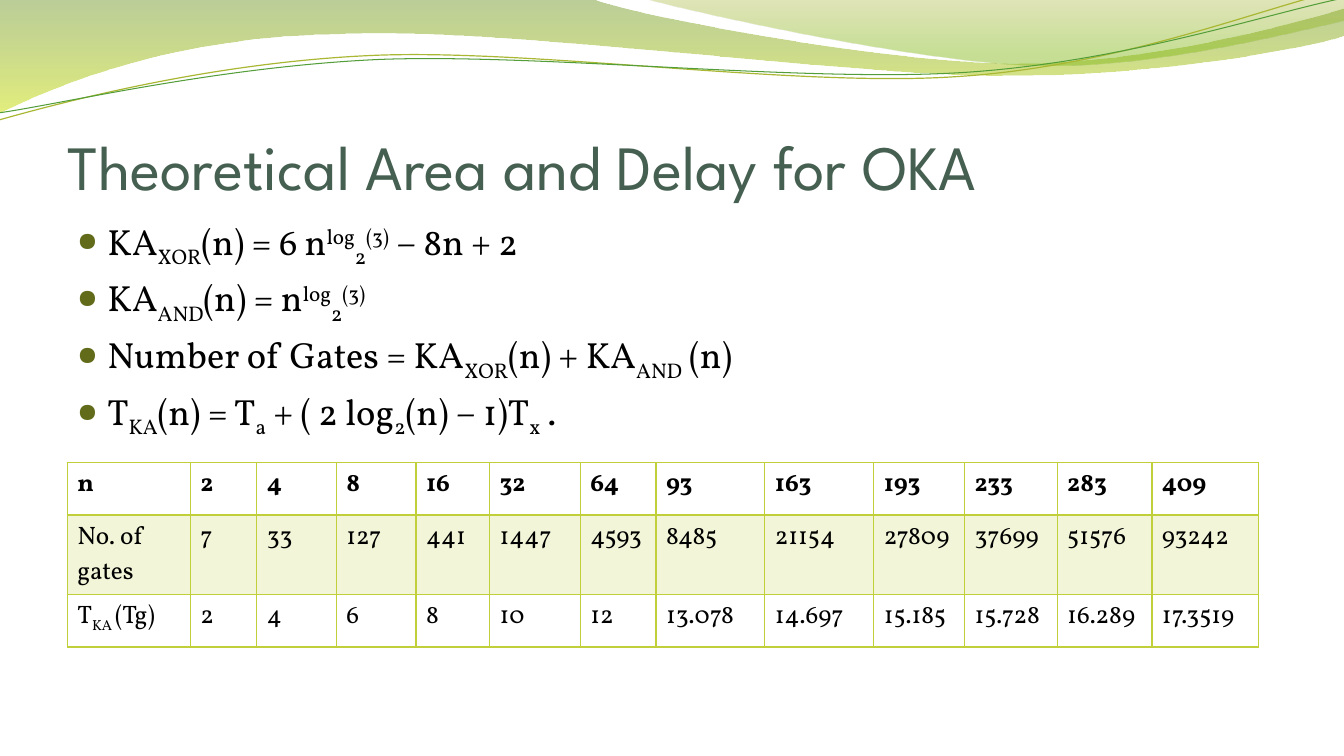
from pptx import Presentation
from pptx.dml.color import RGBColor as RGB
from pptx.enum.text import MSO_ANCHOR as Anchor, MSO_AUTO_SIZE as Fit, PP_ALIGN as Align
from pptx.oxml.ns import qn
from pptx.util import Inches, Pt
from lxml.etree import SubElement as Sub

# Content: "|" parts runs, "_" lowers one and "^" lifts one
TITLE = "Theoretical Area and Delay for OKA"
RULES = [
    "KA|_XOR|(n) = 6 n|^log|_2|^(3)| − 8n + 2",
    "KA|_AND|(n) = n|^log|_2|^(3)",
    "Number of Gates = KA|_XOR|(n) + KA|_AND| (n)",
    "T|_KA|(n) = T|_a| + ( 2 log|_2|(n) − 1)T|_x| .",
]
ROWS = [
    ["n", "2", "4", "8", "16", "32", "64", "93", "163", "193", "233", "283", "409"],
    ["No. of gates", "7", "33", "127", "441", "1447", "4593", "8485", "21154",
     "27809", "37699", "51576", "93242"],
    ["T|_KA |(Tg)", "2", "4", "6", "8", "10", "12", "13.078", "14.697",
     "15.185", "15.728", "16.289", "17.3519"],
]
COLS = [1.22, 0.66, 0.79, 0.79, 0.73, 0.9, 0.75, 1.08, 1.08, 0.9, 0.92, 0.94, 1.06]
TALL = [0.52, 0.79, 0.52]
LIME = "C0CF3A"
HEAD, BODY = "League Spartan", "Vollkorn"
WIDE, HIGH = 13.33, 7.5
LEFT, SPAN = WIDE * 0.05, WIDE * 0.9

# Waves: a pair is a line's end, six numbers are a curve's two handles and end
BANDS = [
    ([(0, 0), (5.87, -0.01), (6.34, 0.17, 8.84, 0.63, 10.11, 0.63),
      (11.37, 0.63, 12.77, 0.26, 13.33, 0.09), (13.34, 0.36),
      (13.11, 0.44, 11.59, 0.76, 9.94, 0.75), (8.29, 0.75, 5.09, 0.28, 3.43, 0.34),
      (1.72, 0.36, 0.61, 0.83, -0.02, 1.13)],
     [(0, "69921C", 45), (1, "CCE10F", 55)]),
    ([(6.38, -0.01), (6.79, 0.11, 9.09, 0.62, 10.25, 0.65),
      (11.4, 0.69, 12.82, 0.32, 13.33, 0.21), (13.33, 0)],
     [(0, "9BAA1A", 30), (0.8, "81BA16", 45)]),
]
LINES = [
    ([(-0.01, 1.19), (0.63, 1.01, 2.1, 0.62, 3.69, 0.55),
      (5.27, 0.48, 7.89, 0.87, 9.49, 0.76), (11.1, 0.66, 12.51, 0.08, 13.3, -0.1)],
     "A9B733", 0.85),
    ([(-0.01, 1.12), (0.62, 1.03, 2.18, 0.66, 3.77, 0.59),
      (5.37, 0.53, 7.96, 0.82, 9.55, 0.72), (11.14, 0.62, 12.55, 0.14, 13.33, -0.02)],
     "549E39", 0.75),
]


def hue(code):
    return RGB.from_string(code)


def fade(node, shares):
    """Give each colour under node its opacity in percent."""
    for tint, share in zip(node.iter(qn("a:srgbClr")), shares):
        Sub(tint, qn("a:alpha"), val=str(share * 1000))


def wave(slide, steps, close):
    """Draw through the ends of the steps, then bend the curved ones."""
    ends = [(Inches(s[-2]), Inches(s[-1])) for s in steps]
    pen = slide.shapes.build_freeform(*ends[0], scale=1.0)
    pen.add_line_segments(ends[1:], close=close)
    shape = pen.convert_to_shape()
    shape.shadow.inherit = False
    sides = list(shape._element.iter(qn("a:lnTo")))
    for side, step in zip(sides, steps[1:]):
        if len(step) == 6:
            end = side[0]
            side.tag = qn("a:cubicBezTo")
            for x, y in (step[:2], step[2:4]):
                Sub(side, qn("a:pt"), x=str(Inches(x) - shape.left),
                    y=str(Inches(y) - shape.top))
            side.append(end)
    return shape


def write(para, text, size, face, color="000000", bold=False):
    for part in text.split("|"):
        shift = {"_": "-25000", "^": "30000"}.get(part[0])
        run = para.add_run()
        run.text = part[1:] if shift else part
        for key, val in dict(size=Pt(size), name=face, bold=bold).items():
            setattr(run.font, key, val)
        run.font.color.rgb = hue(color)
        if shift:
            run.font._element.set("baseline", shift)


def bullet(para):
    props = para._p.get_or_add_pPr()
    props.set("marL", str(Inches(0.3)))
    props.set("indent", str(-Inches(0.3)))
    Sub(Sub(props, qn("a:buClr")), qn("a:srgbClr"), val="626B1A")
    Sub(props, qn("a:buSzPct"), val="72000")
    Sub(props, qn("a:buChar"), char="●")


def edge(cell, side, width):
    line = Sub(cell._tc.get_or_add_tcPr(), qn("a:ln" + side), w=str(Pt(width)))
    Sub(Sub(line, qn("a:solidFill")), qn("a:srgbClr"), val=LIME)


def place(shape, *box):
    for key, val in zip(("left", "top", "width", "height"), box):
        setattr(shape, key, Inches(val))


def add_waves(slide):
    for steps, stops in BANDS:
        band = wave(slide, steps, True)
        band.line.fill.background()
        band.fill.gradient()
        band.fill.gradient_angle = 270
        for stop, (spot, code, _) in zip(band.fill.gradient_stops, stops):
            stop.position = spot
            stop.color.rgb = hue(code)
        fade(band._element.spPr, [share for _, _, share in stops])
    for steps, code, width in LINES:
        curve = wave(slide, steps, False)
        curve.fill.background()
        curve.line.color.rgb = hue(code)
        curve.line.width = Pt(width)


def add_text(slide):
    # Title, in front of the waves
    title = slide.shapes.title
    slide.shapes._spTree.append(title._element)
    place(title, LEFT, 0.77, SPAN, 1.25)
    look = dict(margin_left=0, margin_right=0, margin_top=Inches(0.05), margin_bottom=0,
                vertical_anchor=Anchor.BOTTOM, auto_size=Fit.NONE, word_wrap=True)
    for key, val in look.items():
        setattr(title.text_frame, key, val)
    para = title.text_frame.paragraphs[0]
    para.alignment = Align.LEFT
    write(para, TITLE, 45, HEAD, "455F51")

    # Formulas
    box = slide.shapes.add_textbox(0, 0, 0, 0)
    place(box, LEFT, 2.12, SPAN, 4.8)
    frame = box.text_frame
    frame.word_wrap = True
    for i, rule in enumerate(RULES):
        para = frame.add_paragraph() if i else frame.paragraphs[0]
        para.space_before = Pt(5.2)
        bullet(para)
        write(para, rule, 26, BODY)


def add_grid(slide):
    grid = slide.shapes.add_table(len(ROWS), len(COLS), Inches(LEFT), Inches(4.59),
                                  Inches(sum(COLS)), Inches(sum(TALL))).table
    grid.horz_banding = False
    for col, width in zip(grid.columns, COLS):
        col.width = Inches(width)
    for r, row in enumerate(ROWS):
        grid.rows[r].height = Inches(TALL[r])
        for c, text in enumerate(row):
            cell = grid.cell(r, c)
            write(cell.text_frame.paragraphs[0], text, 18, BODY, bold=r == 0)
            # The rule under the header is heavier
            for side in "LRTB":
                edge(cell, side, 2.25 if (r, side) in ((0, "B"), (1, "T")) else 1)
            if r == 1:
                cell.fill.solid()
                cell.fill.fore_color.rgb = hue(LIME)
                fade(cell._tc.tcPr.find(qn("a:solidFill")), [20])
            else:
                cell.fill.background()


def main():
    deck = Presentation()
    deck.slide_width, deck.slide_height = Inches(WIDE), Inches(HIGH)
    slide = deck.slides.add_slide(deck.slide_layouts[5])
    add_waves(slide)
    add_text(slide)
    add_grid(slide)
    deck.save("out.pptx")


if __name__ == "__main__":
    main()
